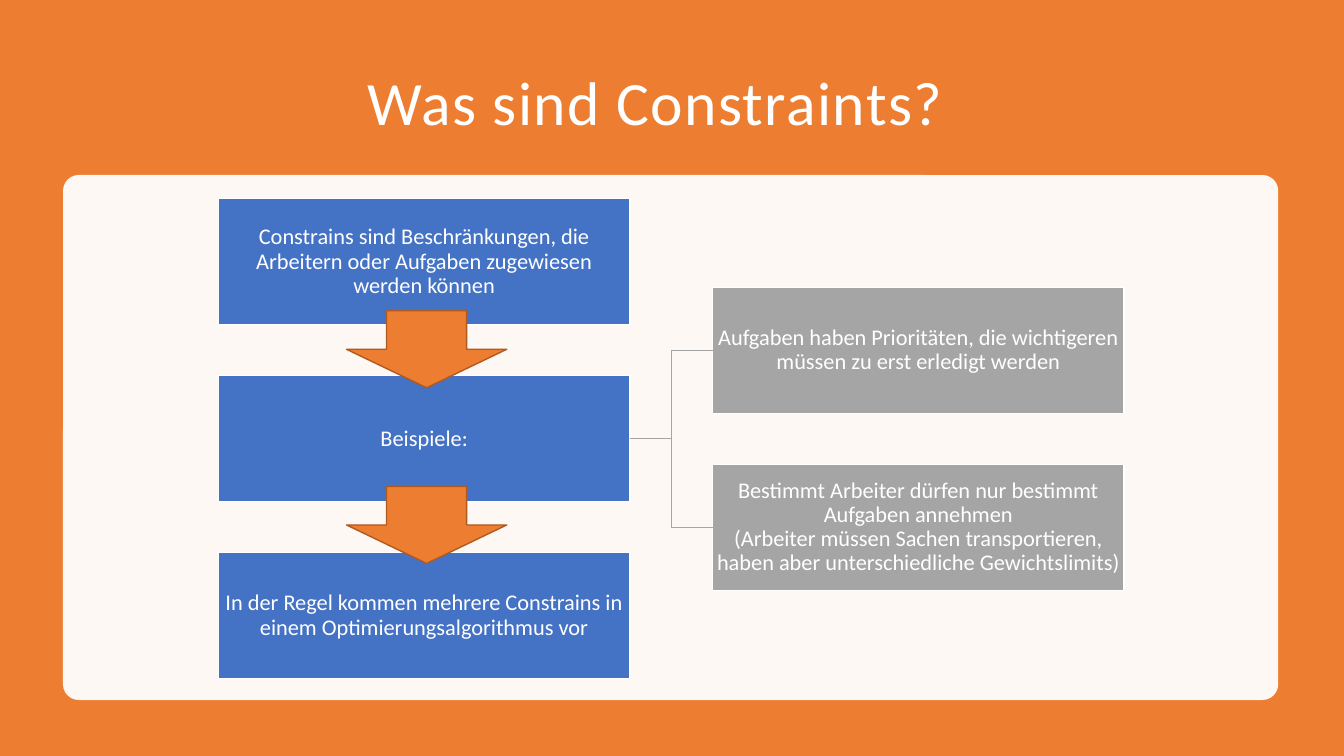
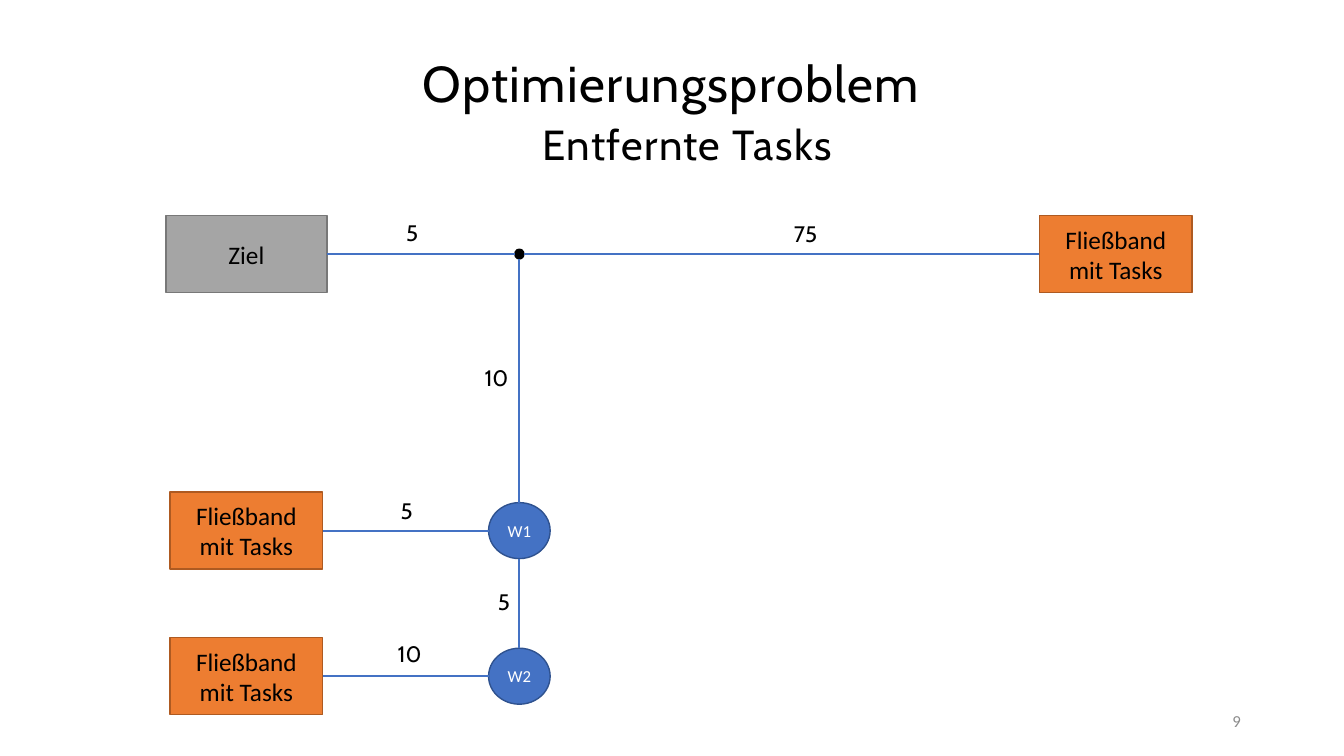
from dataclasses import dataclass

from lxml.etree import SubElement
from pptx import Presentation
from pptx.dml.color import RGBColor
from pptx.enum.shapes import MSO_CONNECTOR, MSO_SHAPE
from pptx.enum.text import MSO_ANCHOR, MSO_AUTO_SIZE, PP_ALIGN
from pptx.oxml.ns import qn
from pptx.util import Pt


@dataclass(frozen=True)
class Theme:
    white: str = "FFFFFF"
    black: str = "000000"
    orange: str = "ED7D31"
    rust: str = "AE5A21"
    blue: str = "4472C4"
    navy: str = "2F528F"
    gray: str = "A5A5A5"
    slate: str = "787878"
    mute: str = "8C8C8C"
    sans: str = "Calibri"
    head: str = "Cabin"
    big: int = 44
    title: int = 36
    sub: int = 30
    body: int = 18
    note: int = 16
    small: int = 12


T = Theme()
TOP, LEFT, BOTTOM, RIGHT = range(4)


def rgb(code):
    return RGBColor.from_string(code)


def write(shape, text, size=T.body, color=T.black, font=T.sans, align=PP_ALIGN.CENTER,
          anchor=MSO_ANCHOR.MIDDLE, lead=1.0, track=0, inset=None):
    """Fill a shape with text, one paragraph for each line."""
    frame = shape.text_frame
    frame.word_wrap = True
    frame.auto_size = MSO_AUTO_SIZE.NONE
    frame.vertical_anchor = anchor
    if inset is not None:
        frame.margin_left = frame.margin_right = Pt(inset)
        frame.margin_top = frame.margin_bottom = Pt(inset)
    frame.text = text
    for para in frame.paragraphs:
        para.alignment = align
        para.line_spacing = lead
        para.space_before = para.space_after = Pt(0)
        for run in para.runs:
            run.font.size = Pt(size)
            run.font.name = font
            run.font.color.rgb = rgb(color)
            if track:
                run.font._element.set("spc", str(track * 100))


def place(shape, x, y, w, h):
    shape.left, shape.top, shape.width, shape.height = map(Pt, (x, y, w, h))


def head(shape, area, text, **style):
    """Move a title placeholder and give it the shared title style."""
    place(shape, *area)
    write(shape, text, lead=0.9, track=1, **style)


def draw(slide, kind, area, fill, line=None):
    shape = slide.shapes.add_shape(kind, *map(Pt, area))
    shape.shadow.inherit = False
    shape.fill.solid()
    shape.fill.fore_color.rgb = rgb(fill)
    if line:
        shape.line.color.rgb = rgb(line)
        shape.line.width = Pt(1)
    else:
        shape.line.fill.background()
    return shape


def node(slide, kind, mid, size, fill, line):
    """Draw a shape around its centre."""
    (x, y), (w, h) = mid, size
    return draw(slide, kind, (x - w / 2, y - h / 2, w, h), fill, line)


def note(slide, area, text, **style):
    write(slide.shapes.add_textbox(*map(Pt, area)), text, **style)


def port(shape, side):
    """Return the middle of one side of a shape."""
    x, y, w, h = shape.left, shape.top, shape.width, shape.height
    return {TOP: (x + w // 2, y), LEFT: (x, y + h // 2),
            BOTTOM: (x + w // 2, y + h), RIGHT: (x + w, y + h // 2)}[side]


def link(slide, start, end, color, width, kind=MSO_CONNECTOR.STRAIGHT):
    """Join two (shape, side) ends; only rectangles number their sides 0 to 3."""
    line = slide.shapes.add_connector(kind, *port(*start), *port(*end))
    for (shape, side), join in ((start, line.begin_connect), (end, line.end_connect)):
        if shape.auto_shape_type == MSO_SHAPE.RECTANGLE:
            join(shape, side)
    line.line.color.rgb = rgb(color)
    line.line.width = Pt(width)
    SubElement(line._element.spPr, qn("a:effectLst"))


def rules(deck):
    slide = deck.slides.add_slide(deck.slide_layouts[5])
    slide.background.fill.solid()
    slide.background.fill.fore_color.rgb = rgb(T.orange)
    head(slide.shapes.title, (54, 36, 828, 79), "Was sind Constraints?",
         size=T.big, color=T.white)

    panel = draw(slide, MSO_SHAPE.ROUNDED_RECTANGLE, (45, 125, 868, 375), T.white)
    panel.adjustments[0] = 0.03
    tint = panel._element.spPr.find(".//" + qn("a:srgbClr"))
    SubElement(tint, qn("a:alpha")).set("val", "95000")

    top, step = 142, 126.4
    steps = ["Constrains sind Beschränkungen, die Arbeitern oder Aufgaben zugewiesen "
             "werden können",
             "Beispiele:",
             "In der Regel kommen mehrere Constrains in einem Optimierungsalgorithmus vor"]
    cases = ["Aufgaben haben Prioritäten, die wichtigeren müssen zu erst erledigt werden",
             "Bestimmt Arbeiter dürfen nur bestimmt Aufgaben annehmen\n"
             "(Arbeiter müssen Sachen transportieren, haben aber unterschiedliche "
             "Gewichtslimits)"]

    def stack(texts, x, y, fill):
        boxes = []
        for i, text in enumerate(texts):
            box = draw(slide, MSO_SHAPE.RECTANGLE, (x, y + i * step, 294, 90), fill, T.white)
            write(box, text, size=T.note, color=T.white, lead=0.9, inset=1)
            boxes.append(box)
        return boxes

    main_col = stack(steps, 156, top, T.blue)
    for case in stack(cases, 509, top + step / 2, T.gray):
        link(slide, (main_col[1], RIGHT), (case, LEFT), T.gray, 1, MSO_CONNECTOR.ELBOW)
    for i in range(2):
        draw(slide, MSO_SHAPE.DOWN_ARROW, (247.5, 222 + i * 125.5, 114.5, 55),
             T.orange, T.rust)


def graph(deck):
    slide = deck.slides.add_slide(deck.slide_layouts[0])
    for shape, area, text, size in (
            (slide.shapes.title, (119.5, 30, 720, 55), "Optimierungsproblem", T.title),
            (slide.placeholders[1], (131, 84, 720, 40.5), "Entfernte Tasks", T.sub)):
        head(shape, area, text, size=size, font=T.head, anchor=MSO_ANCHOR.BOTTOM)

    west, hub, east = 176, 371, 797
    high, mid, low = 181.5, 379, 483

    def box(x, y, text, width=109, fill=T.orange, line=T.rust):
        shape = node(slide, MSO_SHAPE.RECTANGLE, (x, y), (width, 55), fill, line)
        write(shape, text)
        return shape

    def disk(y, text):
        shape = node(slide, MSO_SHAPE.OVAL, (hub, y), (44, 40), T.blue, T.navy)
        write(shape, text, size=T.small, color=T.white, inset=0)
        return shape

    goal = box(west, high, "Ziel", 115, T.gray, T.slate)
    far, near, last = (box(x, y, "Fließband mit Tasks")
                       for x, y in ((east, high), (west, mid), (west, low)))
    one, two = disk(mid, "W1"), disk(low, "W2")
    dot = node(slide, MSO_SHAPE.OVAL, (hub, high), (6.5, 7), T.black, T.black)

    for start, end, text, x, y in (
            ((goal, RIGHT), (dot, LEFT), "5", 283, 155),
            ((dot, RIGHT), (far, LEFT), "75", 560, 156),
            ((dot, BOTTOM), (one, TOP), "10", 339, 259),
            ((near, RIGHT), (one, LEFT), "5", 279, 353.5),
            ((one, BOTTOM), (two, TOP), "5", 348.5, 418.5),
            ((last, RIGHT), (two, LEFT), "10", 277, 456)):
        link(slide, start, end, T.blue, 1.5)
        note(slide, (x, y, 40, 26), text, size=T.note, font=T.head,
             align=PP_ALIGN.LEFT, anchor=MSO_ANCHOR.TOP, lead=0.9)
    note(slide, (677.5, 500.5, 216, 29), "9", size=T.small, color=T.mute,
         align=PP_ALIGN.RIGHT)


def main():
    deck = Presentation()
    deck.slide_width, deck.slide_height = Pt(960), Pt(540)
    rules(deck)
    graph(deck)
    deck.save("out.pptx")


if __name__ == "__main__":
    main()
